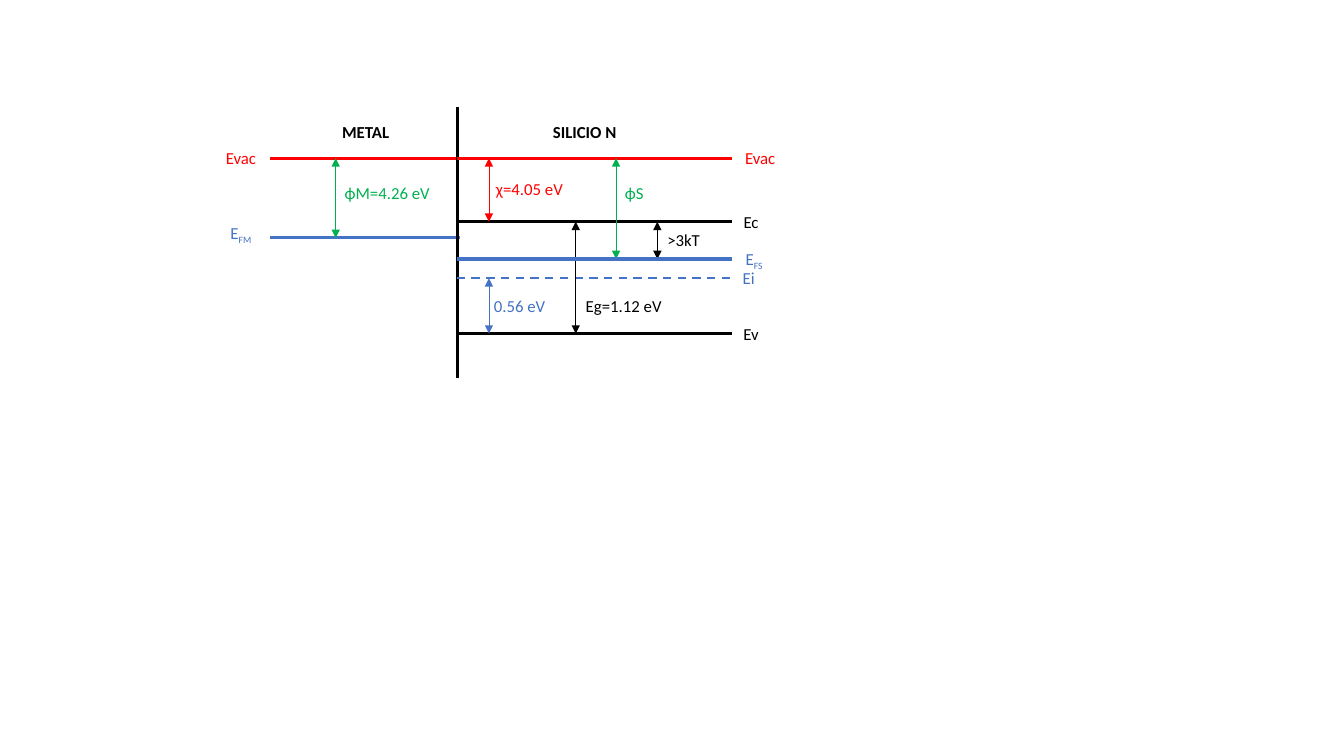
import dataclasses
import lxml.etree
import pptx
import pptx.dml.color
import pptx.enum.dml
import pptx.enum.shapes
import pptx.enum.text
import pptx.oxml.ns
import pptx.util

SLIDE_WIDTH = pptx.util.Inches(13.33)
SLIDE_HEIGHT = pptx.util.Inches(7.5)
LEFT = pptx.enum.text.PP_ALIGN.LEFT
CENTER = pptx.enum.text.PP_ALIGN.CENTER


@dataclasses.dataclass(frozen=True)
class Theme:
    ink: str = "000000"
    vacuum: str = "FF0000"
    fermi: str = "4472C4"
    work_function: str = "00B050"
    font: str = "Calibri"
    text_size: float = 12
    level_width: float = 2.25
    intrinsic_width: float = 1.5
    gap_width: float = 0.5
    label_height: float = 4


THEME = Theme()
VACUUM, CONDUCTION, METAL_FERMI = 20.93, 29.33, 31.47
SILICON_FERMI, INTRINSIC, VALENCE = 34.27, 36.8, 44.13
METAL_START, METAL_END = 20.1, 34.2
SILICON_START, SILICON_END = 33.98, 54.46
JUNCTION, JUNCTION_TOP, JUNCTION_BOTTOM = 34.06, 14.13, 50
HEADING = 17.47
LEVEL_LABELS = 54.39


def across(share):
    return round(SLIDE_WIDTH * share / 100)


def down(share):
    return round(SLIDE_HEIGHT * share / 100)


def rgb(colour):
    return pptx.dml.color.RGBColor.from_string(colour)


def apply_format(target, values):
    for name, value in values.items():
        setattr(target, name, value)


def add_line(region, start, end, colour, width):
    connector = region.shapes.add_connector(
        pptx.enum.shapes.MSO_CONNECTOR.STRAIGHT,
        across(start[0]), down(start[1]), across(end[0]), down(end[1]))
    connector.line.color.rgb = rgb(colour)
    connector.line.width = pptx.util.Pt(width)
    properties = connector._element.spPr
    lxml.etree.SubElement(properties, pptx.oxml.ns.qn("a:effectLst"))
    return connector


def add_level(region, span, energy, colour, width=THEME.level_width):
    return add_line(region, (span[0], energy), (span[1], energy), colour, width)


def add_gap(region, column, upper, lower, colour):
    arrow = add_line(region, (column, upper), (column, lower), colour, THEME.gap_width)
    outline = arrow.line._get_or_add_ln()
    for end in ("a:headEnd", "a:tailEnd"):
        lxml.etree.SubElement(outline, pptx.oxml.ns.qn(end), type="triangle")


def add_label(region, wording, left, middle, width, colour,
              align=CENTER, bold=False, subscript=""):
    label = region.shapes.add_textbox(
        across(left), down(middle - THEME.label_height / 2),
        across(width), down(THEME.label_height))
    apply_format(label.text_frame, {
        "word_wrap": False,
        "auto_size": pptx.enum.text.MSO_AUTO_SIZE.SHAPE_TO_FIT_TEXT,
    })
    paragraph = label.text_frame.paragraphs[0]
    paragraph.alignment = align
    for part in filter(None, (wording, subscript)):
        run = paragraph.add_run()
        run.text = part
        apply_format(run.font, {
            "name": THEME.font,
            "size": pptx.util.Pt(THEME.text_size),
            "bold": bold,
        })
        run.font.color.rgb = rgb(colour)
    if subscript:
        run._r.get_or_add_rPr().set("baseline", "-25000")


def draw_metal(slide):
    metal = slide.shapes.add_group_shape()
    span = METAL_START, METAL_END
    add_level(metal, span, VACUUM, THEME.vacuum)
    add_level(metal, span, METAL_FERMI, THEME.fermi)
    add_gap(metal, 24.98, VACUUM, METAL_FERMI, THEME.work_function)
    add_label(metal, "ϕM=4.26 eV", 24.91, 25.47, 8.33, THEME.work_function, LEFT)
    add_label(metal, "Evac", 15.75, VACUUM, 4.35, THEME.vacuum)
    add_label(metal, "E", 16.13, 30.8, 3.6, THEME.fermi, subscript="FM")
    add_label(metal, "METAL", 24.31, HEADING, 5.78, THEME.ink, bold=True)
    add_line(metal, (JUNCTION, JUNCTION_TOP), (JUNCTION, JUNCTION_BOTTOM),
             THEME.ink, THEME.level_width)


def draw_silicon(slide):
    silicon = slide.shapes.add_group_shape()
    span = SILICON_START, SILICON_END
    for energy, colour in (
        (VACUUM, THEME.vacuum),
        (CONDUCTION, THEME.ink),
        (VALENCE, THEME.ink),
    ):
        add_level(silicon, span, energy, colour)
    intrinsic = add_level(silicon, span, INTRINSIC, THEME.fermi, THEME.intrinsic_width)
    intrinsic.line.dash_style = pptx.enum.dml.MSO_LINE.DASH

    for column, upper, lower, colour in (
        (36.38, VACUUM, CONDUCTION, THEME.vacuum),
        (48.91, CONDUCTION, SILICON_FERMI, THEME.ink),
        (36.38, INTRINSIC, VALENCE, THEME.fermi),
        (42.84, CONDUCTION, VALENCE, THEME.ink),
        (45.84, VACUUM, SILICON_FERMI, THEME.work_function),
    ):
        add_gap(silicon, column, upper, lower, colour)

    for wording, left, middle, width, colour in (
        ("χ=4.05 eV", 36.16, 24.93, 7.28, THEME.vacuum),
        (">3kT", 48.91, 31.73, 4.35, THEME.ink),
        ("0.56 eV", 36.01, 40.53, 5.85, THEME.fermi),
        ("Eg=1.12 eV", 42.84, 40.53, 8.1, THEME.ink),
        ("ϕS", 45.76, 25.47, 3.08, THEME.work_function),
    ):
        add_label(silicon, wording, left, middle, width, colour, LEFT)

    for wording, energy, width, colour in (
        ("Evac", VACUUM, 4.35, THEME.vacuum),
        ("Ec", CONDUCTION, 3, THEME.ink),
        ("Ev", VALENCE, 3, THEME.ink),
        ("Ei", INTRINSIC, 2.63, THEME.fermi),
    ):
        add_label(silicon, wording, LEVEL_LABELS, energy, width, colour)

    add_label(silicon, "SILICIO N", 39.83, HEADING, 7.35, THEME.ink, bold=True)
    add_level(silicon, span, SILICON_FERMI, THEME.fermi)
    add_label(silicon, "E", LEVEL_LABELS, SILICON_FERMI, 3.45, THEME.fermi,
              subscript="FS")


def main():
    presentation = pptx.Presentation()
    apply_format(presentation, {
        "slide_width": SLIDE_WIDTH,
        "slide_height": SLIDE_HEIGHT,
    })
    slide = presentation.slides.add_slide(presentation.slide_layouts[6])
    draw_metal(slide)
    draw_silicon(slide)
    presentation.save("out.pptx")


if __name__ == "__main__":
    main()
